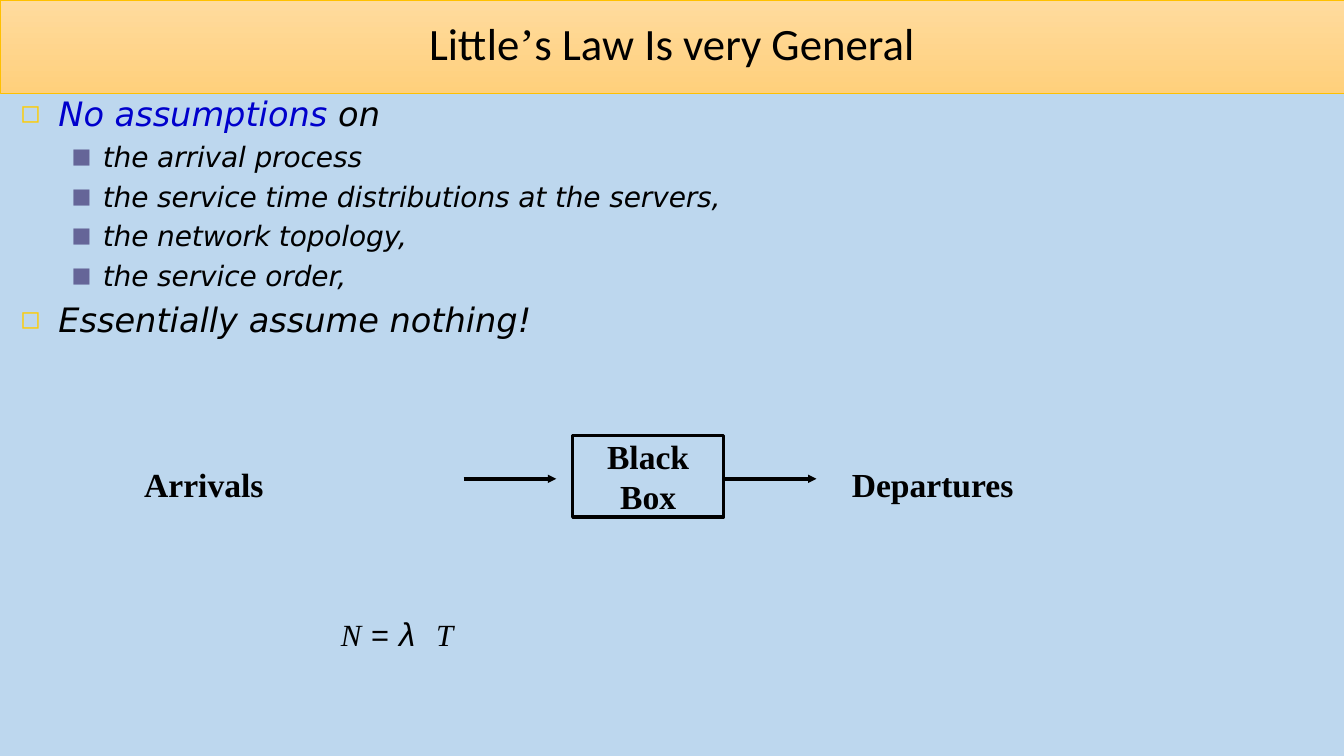
from lxml.etree import SubElement
from pptx import Presentation
from pptx.dml.color import RGBColor
from pptx.enum.shapes import MSO_CONNECTOR, MSO_SHAPE
from pptx.enum.text import MSO_ANCHOR, MSO_AUTO_SIZE, PP_ALIGN
from pptx.oxml.ns import qn
from pptx.util import Pt

BLACK = "000000"
LABEL = {"name": "Times New Roman", "size": Pt(24), "bold": True}
BODY = {"name": "DejaVu Sans", "size": Pt(24), "italic": True}
SUB_BODY = {**BODY, "size": Pt(20)}
TITLE = {"name": "Calibri", "size": Pt(32)}
VARIABLE = {"name": "Times New Roman", "size": Pt(22), "italic": True}
OPERATOR = {"name": "Arial", "size": Pt(22), "italic": False}
GREEK = {"name": "Arial", "size": Pt(23.5), "italic": True}


def color(hex_text):
    return RGBColor.from_string(hex_text)


def add_run(paragraph, text, font_format, hex_color=BLACK, spacing=0):
    """Add a run; spacing is the extra space between letters in points."""
    run = paragraph.add_run()
    run.text = text
    for name, value in font_format.items():
        setattr(run.font, name, value)
    run.font.color.rgb = color(hex_color)
    if spacing:
        run.font._element.set("spc", str(round(spacing * 100)))


def place(shape, left, top, width, height):
    for name, value in zip(("left", "top", "width", "height"), (left, top, width, height)):
        setattr(shape, name, Pt(value))


def prepare_frame(shape, anchor=MSO_ANCHOR.TOP):
    frame = shape.text_frame
    settings = {"word_wrap": True, "auto_size": MSO_AUTO_SIZE.NONE, "vertical_anchor": anchor,
                "margin_left": 0, "margin_right": 0, "margin_top": 0, "margin_bottom": 0}
    for name, value in settings.items():
        setattr(frame, name, value)
    return frame


def set_bullet(paragraph, character, hex_color, margin, indent):
    properties = paragraph._p.get_or_add_pPr()
    properties.set("marL", str(Pt(margin)))
    properties.set("indent", str(Pt(indent)))
    bullet_color = SubElement(properties, qn("a:buClr"))
    SubElement(bullet_color, qn("a:srgbClr"), val=hex_color)
    SubElement(properties, qn("a:buSzPct"), val="75000")
    SubElement(properties, qn("a:buFont"), typeface="DejaVu Sans")
    SubElement(properties, qn("a:buChar"), char=character)


def fill_title(title):
    place(title, 0, 0, 960, 66.4)
    title.fill.gradient()
    title.fill.gradient_angle = 270
    for stop, hex_color in zip(title.fill.gradient_stops, ("FFDB9E", "FFD07C")):
        stop.color.rgb = color(hex_color)
    title.line.color.rgb = color("FFC000")
    title.line.width = Pt(0.5)
    paragraph = prepare_frame(title, MSO_ANCHOR.MIDDLE).paragraphs[0]
    paragraph.alignment = PP_ALIGN.CENTER
    paragraph.line_spacing = 0.9
    add_run(paragraph, "Little", TITLE, spacing=-0.1)
    add_run(paragraph, "’", {**TITLE, "name": "Times New Roman"})
    add_run(paragraph, "s Law Is very General", TITLE)


def fill_body(body, items):
    """Each item is a level and a list of (text, colour) pieces."""
    place(body, 13.7, 66.4, 836, 181.4)
    frame = prepare_frame(body)
    for index, (level, pieces) in enumerate(items):
        paragraph = frame.add_paragraph() if index else frame.paragraphs[0]
        paragraph.level = level
        if level:
            set_bullet(paragraph, "■", "656598", 59.8, -22.3)
        else:
            set_bullet(paragraph, "◻", "FFCC00", 28, -27.4)
        paragraph.space_before = Pt(4.4 if index else 0)
        paragraph.line_spacing = 1.0
        for text, hex_color in pieces:
            add_run(paragraph, text, SUB_BODY if level else BODY, hex_color,
                    -0.1 if level else 0)


def add_text(slide, left, top, width, height, runs):
    """Each run is a text, a font format and a letter spacing."""
    box = slide.shapes.add_textbox(Pt(left), Pt(top), Pt(width), Pt(height))
    paragraph = prepare_frame(box).paragraphs[0]
    for text, font_format, spacing in runs:
        add_run(paragraph, text, font_format, spacing=spacing)


def add_black_box(slide, left, top, width, height, lines):
    box = slide.shapes.add_shape(MSO_SHAPE.RECTANGLE, Pt(left), Pt(top), Pt(width), Pt(height))
    box.shadow.inherit = False
    box.fill.background()
    box.line.color.rgb = color(BLACK)
    box.line.width = Pt(2.25)
    frame = prepare_frame(box, MSO_ANCHOR.MIDDLE)
    for index, line in enumerate(lines):
        paragraph = frame.add_paragraph() if index else frame.paragraphs[0]
        paragraph.alignment = PP_ALIGN.CENTER
        add_run(paragraph, line, LABEL)


def add_arrow(slide, left, top, length):
    arrow = slide.shapes.add_connector(
        MSO_CONNECTOR.STRAIGHT, Pt(left), Pt(top), Pt(left + length), Pt(top))
    arrow.line.color.rgb = color(BLACK)
    arrow.line.width = Pt(3)
    SubElement(arrow.line._get_or_add_ln(), qn("a:tailEnd"), type="triangle", w="sm", len="sm")
    SubElement(arrow._element.spPr, qn("a:effectLst"))


def main():
    presentation = Presentation()
    presentation.slide_width, presentation.slide_height = Pt(960), Pt(540)
    slide = presentation.slides.add_slide(presentation.slide_layouts[1])
    slide.background.fill.solid()
    slide.background.fill.fore_color.rgb = color("BDD7EE")

    # Title and list
    fill_title(slide.shapes.title)
    fill_body(slide.placeholders[1], [
        (0, [("No assumptions ", "0000CC"), ("on", BLACK)]),
        (1, [("the arrival process", BLACK)]),
        (1, [("the service time distributions at the servers,", BLACK)]),
        (1, [("the network topology,", BLACK)]),
        (1, [("the service order,", BLACK)]),
        (0, [("Essentially assume nothing!", BLACK)]),
    ])

    # Flow through the black box
    add_black_box(slide, 409, 311, 108, 58.3, ["Black", "Box"])
    for left in (331.2, 517):
        add_arrow(slide, left, 342, 66.2)
    add_text(slide, 103, 331.5, 213, 29, [("Arrivals", LABEL, 0)])
    add_text(slide, 608.4, 331.5, 118, 29, [("Departures", LABEL, 0)])

    # Little's formula
    add_text(slide, 243.5, 438, 253, 29, [
        ("N ", VARIABLE, 0.7), ("= ", OPERATOR, 0.6),
        ("λ", GREEK, 14.8), ("T", VARIABLE, 0.6),
    ])
    presentation.save("out.pptx")


if __name__ == "__main__":
    main()
